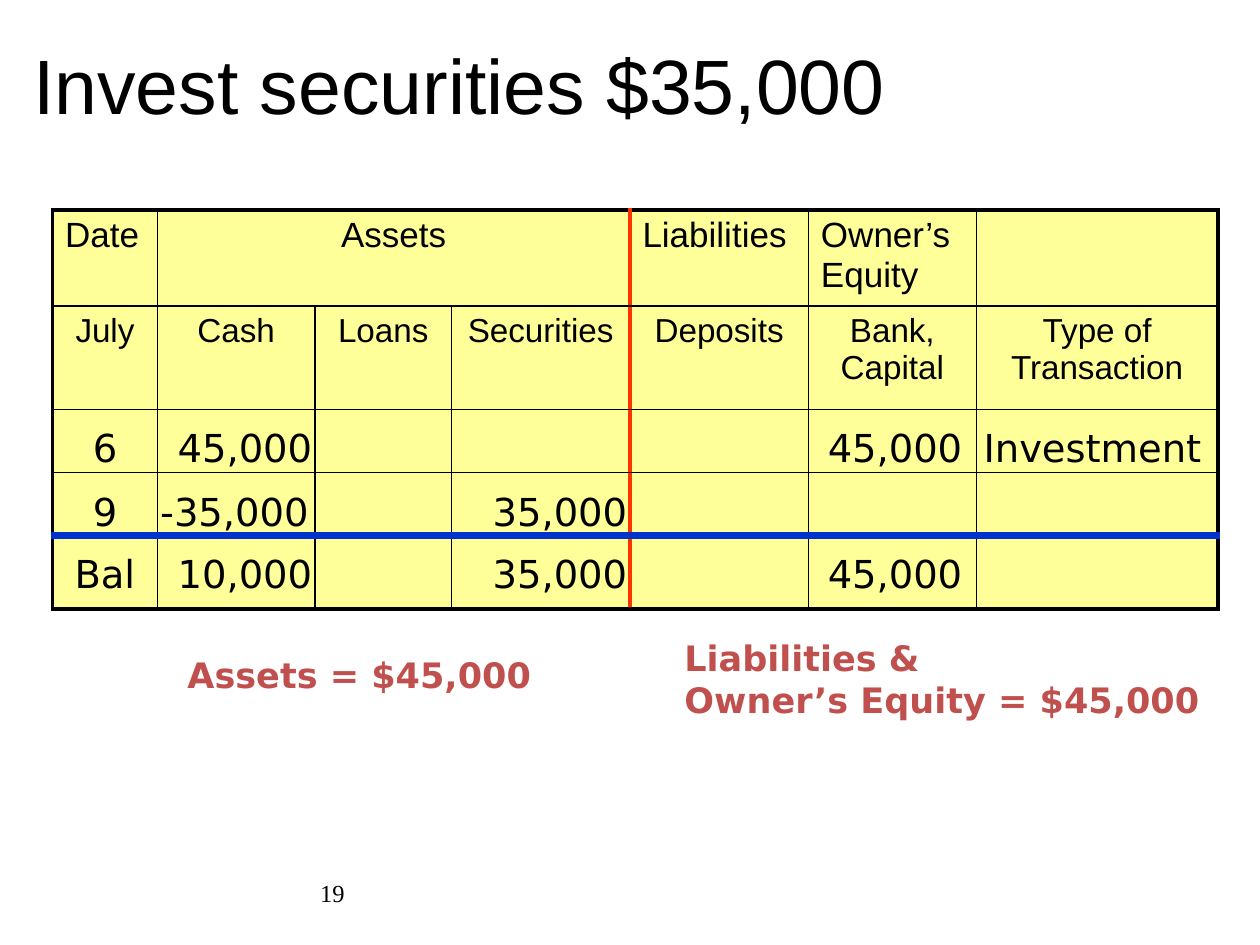
"""Build the balance sheet slide for a securities investment."""
from lxml.etree import SubElement
from pptx import Presentation
from pptx.dml.color import RGBColor
from pptx.enum.text import MSO_ANCHOR as ANCHOR, MSO_AUTO_SIZE as FIT, PP_ALIGN as ALIGN
from pptx.oxml.ns import qn
from pptx.util import Pt

BLACK, YELLOW, RED = "000000", "FFFF99", "C0504D"
OUTER, THIN = (BLACK, 2.25), (BLACK, 1)
DIVIDER, TOTAL = ("FF3300", 3), ("0033CC", 4.5)
LEFT, TOP = 30, 120
COLS = [60, 90, 78, 102, 102, 96, 138]
ROWS = [55, 59, 36, 36, 42]
V_EDGES = [OUTER, THIN, THIN, THIN, DIVIDER, THIN, THIN, OUTER]
H_EDGES = [OUTER, THIN, THIN, THIN, TOTAL, OUTER]
ASSETS = (1, 3)
HEADERS = [
    (20, ["Date", "Assets", "", "", "Liabilities", "Owner’s Equity", ""]),
    (19, ["July", "Cash", "Loans", "Securities", "Deposits",
          "Bank, Capital", "Type of Transaction"]),
]
ENTRIES = [
    (238.5, [("6", 46, 29), ("45,000", 94.5, 92), ("45,000", 466, 92),
             ("Investment", 555, 141)]),
    (275.5, [("9", 46, 29), ("-35,000", 84.5, 102), ("35,000", 274.5, 92)]),
    (310.5, [("Bal", 35.5, 49), ("10,000", 94.5, 92), ("35,000", 274.5, 92),
             ("45,000", 466, 92)]),
]
SUMS = [
    (["Assets = $45,000"], 100, 370, 212, 31),
    (["Liabilities &", "Owner’s Equity = $45,000"], 384, 360, 309, 55.5),
]


def color(value):
    return RGBColor.from_string(value)


def write(tf, lines, size, font, rgb=BLACK, bold=False, align=ALIGN.LEFT):
    for i, line in enumerate(lines):
        p = tf.add_paragraph() if i else tf.paragraphs[0]
        p.alignment = align
        r = p.add_run()
        r.text = line
        r.font.size, r.font.name, r.font.bold = Pt(size), font, bold
        r.font.color.rgb = color(rgb)


def add_text(s, lines, x, y, w, h, size, font, wrap=False, anchor=ANCHOR.TOP, **style):
    sp = s.shapes.add_textbox(Pt(x), Pt(y), Pt(w), Pt(h))
    tf = sp.text_frame
    tf.word_wrap, tf.vertical_anchor = wrap, anchor
    tf.auto_size = FIT.NONE if wrap else FIT.SHAPE_TO_FIT_TEXT
    write(tf, lines, size, font, **style)
    return sp


def set_border(cell, side, edge):
    rgb, width = edge
    ln = SubElement(cell._tc.get_or_add_tcPr(), qn(f"a:ln{side}"), w=str(Pt(width)))
    SubElement(SubElement(ln, qn("a:solidFill")), qn("a:srgbClr"), val=rgb)


def add_ledger(s):
    frame = s.shapes.add_table(len(ROWS), len(COLS), Pt(LEFT), Pt(TOP),
                               Pt(sum(COLS)), Pt(sum(ROWS)))
    table = frame.table
    table.first_row = table.horz_banding = False
    for col, width in zip(table.columns, COLS):
        col.width = Pt(width)
    for row, height in zip(table.rows, ROWS):
        row.height = Pt(height)
    first, last = ASSETS
    table.cell(0, first).merge(table.cell(0, last))
    for i in range(len(ROWS)):
        for j in range(len(COLS)):
            cell = table.cell(i, j)
            if cell.is_spanned:
                continue
            right = last if cell.is_merge_origin else j
            edges = (V_EDGES[j], V_EDGES[right + 1], H_EDGES[i], H_EDGES[i + 1])
            for side, edge in zip("LRTB", edges):
                set_border(cell, side, edge)
            cell.fill.solid()
            cell.fill.fore_color.rgb = color(YELLOW)
            if i < len(HEADERS) and HEADERS[i][1][j]:
                size, names = HEADERS[i]
                centered = i == 1 or cell.is_merge_origin
                write(cell.text_frame, [names[j]], size, "Arial",
                      align=ALIGN.CENTER if centered else ALIGN.LEFT)


def main():
    prs = Presentation()
    prs.slide_width, prs.slide_height = Pt(720), Pt(540)
    s = prs.slides.add_slide(prs.slide_layouts[6])
    add_ledger(s)
    add_text(s, ["19"], 54, 492, 150, 36, 14, "Times New Roman",
             wrap=True, anchor=ANCHOR.MIDDLE, align=ALIGN.RIGHT)
    for y, entries in ENTRIES:
        for text, x, w in entries:
            add_text(s, [text], x, y, w, 34, 22, "DejaVu Sans")
    for lines, *box in SUMS:
        sp = add_text(s, lines, *box, 20, "DejaVu Sans", rgb=RED, bold=True)
        sp.fill.solid()
        sp.fill.fore_color.rgb = color("FFFFFF")
    add_text(s, ["Invest securities $35,000"], 12, 18, 654, 60, 44, "Arial",
             wrap=True, anchor=ANCHOR.MIDDLE)
    prs.save("out.pptx")


if __name__ == "__main__":
    main()
